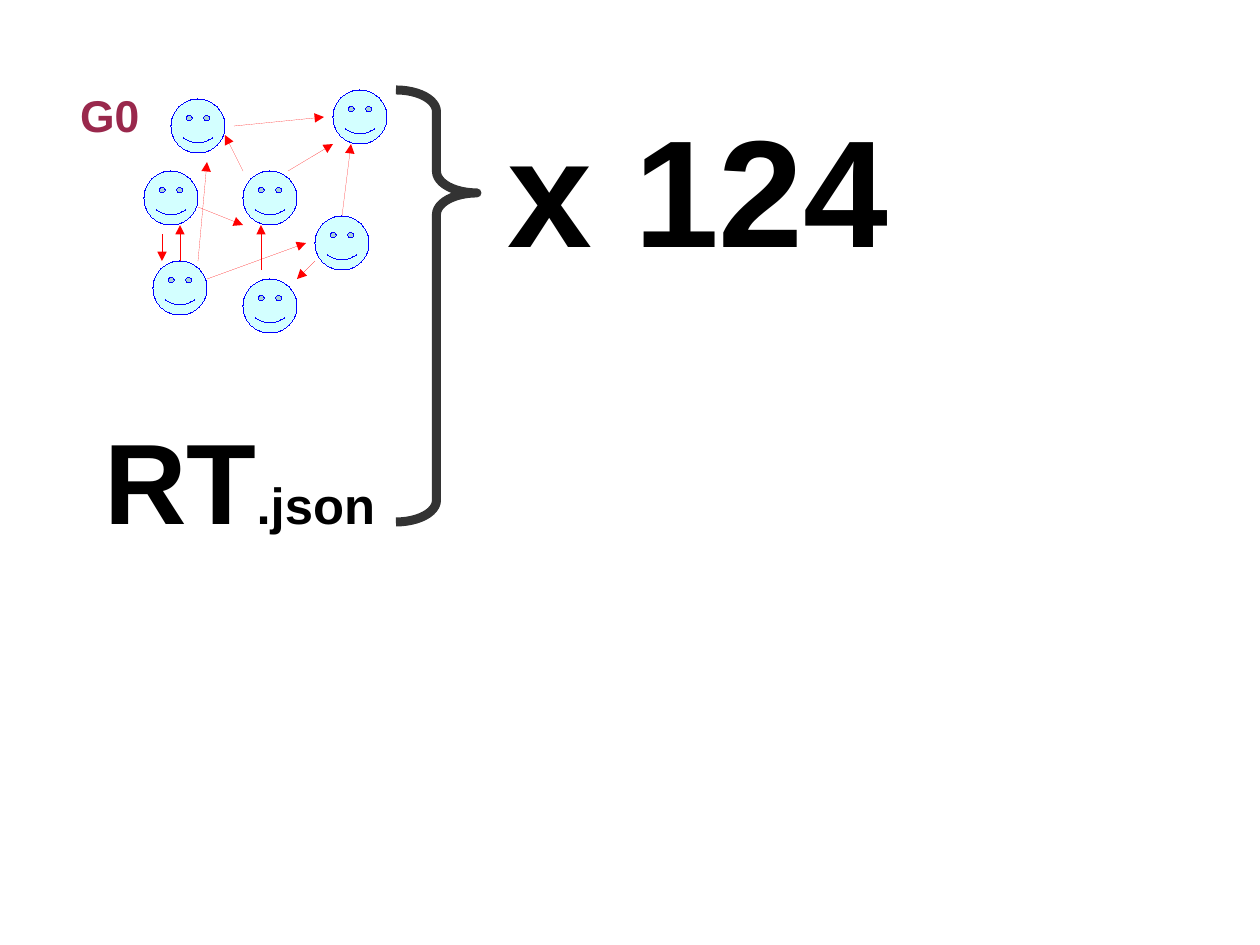
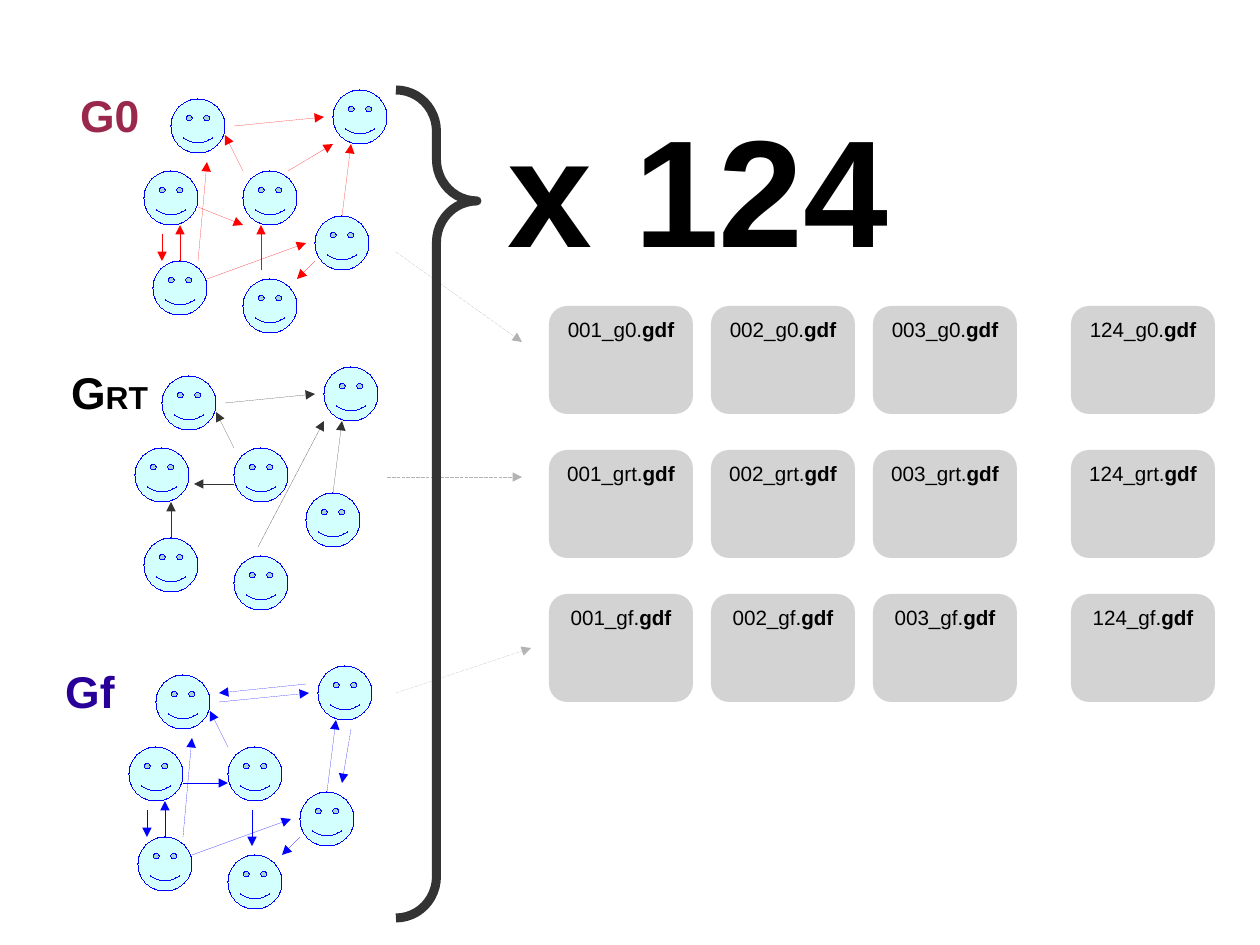
from pptx import Presentation
from pptx.dml.color import RGBColor
from pptx.enum.dml import MSO_LINE
from pptx.enum.shapes import MSO_CONNECTOR, MSO_SHAPE
from pptx.enum.text import MSO_ANCHOR, PP_ALIGN
from pptx.oxml.ns import qn
from pptx.util import Emu, Pt
from lxml import etree

PX = 8000
FONT = "Arial"
HAIRLINE = Emu(1)
STRAIGHT = MSO_CONNECTOR.STRAIGHT
SMILEY = MSO_SHAPE.SMILEY_FACE
BRACE = MSO_SHAPE.RIGHT_BRACE
CARD = MSO_SHAPE.ROUNDED_RECTANGLE
TOP = MSO_ANCHOR.TOP
CENTER = PP_ALIGN.CENTER
LEFT = PP_ALIGN.LEFT
DASH = MSO_LINE.SQUARE_DOT

BLACK = RGBColor(0x00, 0x00, 0x00)
DARK = RGBColor(0x33, 0x33, 0x33)
GREY = RGBColor(0xB3, 0xB3, 0xB3)
CARD_GREY = RGBColor(0xCC, 0xCC, 0xCC)
CYAN = RGBColor(0xCC, 0xFF, 0xFF)
BLUE = RGBColor(0x00, 0x00, 0xFF)
RED = RGBColor(0xFF, 0x00, 0x00)
WINE = RGBColor(0x99, 0x28, 0x4C)
INDIGO = RGBColor(0x28, 0x00, 0x99)

NODE = 54
NODES = [(0, 81), (99, 189), (99, 81), (9, 171), (171, 126), (27, 9), (189, 0)]
BASE_EDGES = [(99, 81, 81, 45), (198, 126, 207, 54), (90, 36, 180, 27), (36, 171, 36, 135)]
CYCLE_EDGES = BASE_EDGES + [
    (171, 171, 153, 189), (18, 144, 18, 171), (54, 171, 63, 72), (63, 189, 162, 153)]
G0_EDGES = CYCLE_EDGES + [(117, 180, 117, 135), (54, 117, 99, 135), (144, 81, 189, 54)]
GRT_EDGES = BASE_EDGES + [(99, 117, 59, 117), (123, 180, 189, 54)]
GF_EDGES = CYCLE_EDGES + [
    (123, 144, 123, 180), (54, 117, 99, 117), (222, 63, 213, 117), (177, 18, 90, 27)]

G0 = dict(x=144, y=90, edges=G0_EDGES, color=RED, runs=[("G0", 28, True, WINE)])
GRT = dict(x=135, y=367, edges=GRT_EDGES, color=DARK,
           runs=[("G", 28, True, BLACK), ("RT", 20, True, BLACK)])
GF = dict(x=129, y=666, edges=GF_EDGES, color=BLUE, runs=[("Gf", 28, True, INDIGO)])


def px(*values):
    return [Emu(v * PX) for v in values]


def write(sp, runs, align):
    tf = sp.text_frame
    for name, value in dict(word_wrap=True, vertical_anchor=TOP).items():
        setattr(tf, name, value)
    p = tf.paragraphs[0]
    p.alignment = align
    for text, size, bold, color in runs:
        r = p.add_run()
        r.text = text
        for name, value in dict(name=FONT, size=Pt(size), bold=bold).items():
            setattr(r.font, name, value)
        r.font.color.rgb = color


def add_label(s, box, runs):
    write(s.shapes.add_textbox(*px(*box)), runs, LEFT)


def add_filled(s, kind, box, color):
    sp = s.shapes.add_shape(kind, *px(*box))
    sp.shadow.inherit = False
    sp.fill.solid()
    sp.fill.fore_color.rgb = color
    clr = sp._element.spPr.find(qn("a:solidFill")).find(qn("a:srgbClr"))
    etree.SubElement(clr, qn("a:alpha")).set("val", "85000")
    return sp


def add_arrow(s, ends, color, dash=None):
    c = s.shapes.add_connector(STRAIGHT, *px(*ends))
    c.line.color.rgb = color
    c.line.width = HAIRLINE
    if dash:
        c.line.dash_style = dash
    sp_pr = c._element.spPr
    etree.SubElement(sp_pr.find(qn("a:ln")), qn("a:tailEnd")).set("type", "triangle")
    etree.SubElement(sp_pr, qn("a:effectLst"))


def add_graph(s, x, y, edges, color, runs):
    for dx, dy in NODES:
        sp = add_filled(s, SMILEY, (x + dx, y + dy, NODE, NODE), CYAN)
        sp.line.color.rgb = BLUE
        sp.line.width = HAIRLINE
    for x1, y1, x2, y2 in edges:
        add_arrow(s, (x + x1, y + y1, x + x2, y + y2), color)
    add_label(s, (x - 75, y - 8, 120, 61), runs)


def add_brace(s, x, y, w, h, peak):
    sp = s.shapes.add_shape(BRACE, *px(x, y, w, h))
    sp.shadow.inherit = False
    sp.fill.background()
    sp.line.color.rgb = DARK
    sp.line.width = Pt(5.67)
    sp.adjustments[0] = h / 20 / w
    sp.adjustments[1] = peak / h


def add_cards(s, x, y):
    columns = [("001", 0), ("002", 162), ("003", 324), ("124", 522)]
    for row, graph in enumerate(["g0", "grt", "gf"]):
        for number, dx in columns:
            sp = add_filled(s, CARD, (x + dx, y + row * 144, 144, 108), CARD_GREY)
            sp.line.fill.background()
            runs = [(f"{number}_{graph}.", 13, False, BLACK), ("gdf", 13, True, BLACK)]
            write(sp, runs, CENTER)


def add_multiplied(s, h, peak):
    add_brace(s, 396, 90, 81, h, peak)
    add_graph(s, **G0)
    add_label(s, (496, 90, 480, 182), [("x 124", 96, True, BLACK)])


def build_input_slide(s):
    add_label(s, (93, 405, 303, 139), [("RT", 72, True, BLACK), (".json", 32, True, BLACK)])
    add_multiplied(s, 432, 103)


def build_output_slide(s):
    for ends in [(396, 693, 531, 648), (387, 477, 522, 477), (396, 252, 522, 342)]:
        add_arrow(s, ends, GREY, DASH)
    add_multiplied(s, 828, 111)
    for graph in (GF, GRT):
        add_graph(s, **graph)
    add_cards(s, 549, 306)


def main():
    prs = Presentation()
    prs.slide_width, prs.slide_height = px(1260, 945)
    for build in (build_input_slide, build_output_slide):
        build(prs.slides.add_slide(prs.slide_layouts[6]))
    prs.save("out.pptx")


if __name__ == "__main__":
    main()
